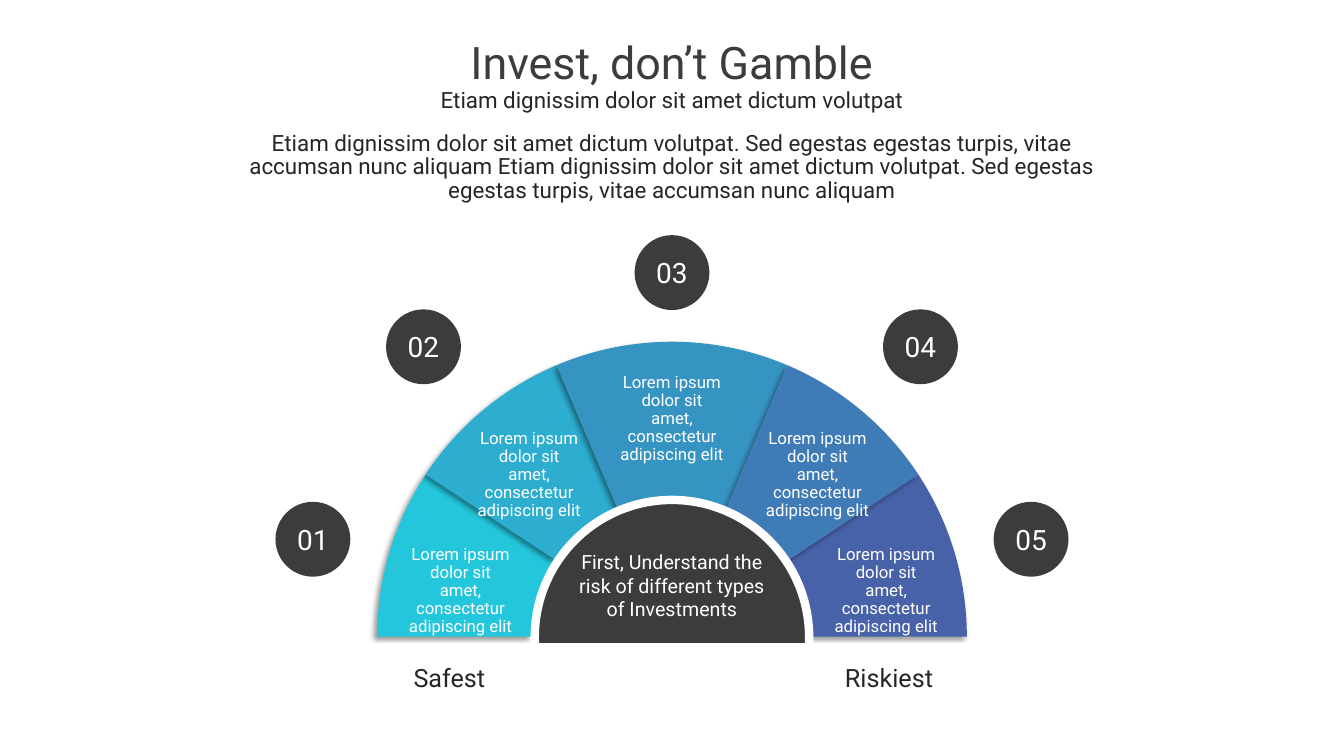
from lxml import etree
from pptx import Presentation
from pptx.dml.color import RGBColor
from pptx.enum.shapes import MSO_SHAPE
from pptx.enum.text import MSO_ANCHOR, MSO_AUTO_SIZE, PP_ALIGN
from pptx.oxml.ns import qn
from pptx.util import Pt

ARC, OVAL, RECT = MSO_SHAPE.BLOCK_ARC, MSO_SHAPE.OVAL, MSO_SHAPE.RECTANGLE
TOP, MIDDLE = MSO_ANCHOR.TOP, MSO_ANCHOR.MIDDLE
CENTER, FIXED = PP_ALIGN.CENTER, MSO_AUTO_SIZE.NONE

HUES = {
    "white": "FFFFFF", "dark": "3C3C3C", "ink": "262626", "black": "000000",
    "cyan": "24C6DC", "aqua": "2DADCF", "blue": "3694C2",
    "steel": "3F7BB6", "indigo": "4862A9",
}
INTRO = "Etiam dignissim dolor sit amet dictum volutpat"
BODY = (INTRO + ". Sed egestas egestas turpis, vitae accumsan nunc aliquam "
        + INTRO + ". Sed egestas egestas turpis, vitae accumsan nunc aliquam")
LOREM = "Lorem ipsum dolor sit amet, consectetur adipiscing elit"
GOAL = "First, Understand the risk of different types of Investments"

WEDGES = [
    ("cyan", 180, 213.34, -151, -68),
    ("aqua", 213.34, 246.97, -102, -151),
    ("blue", 246.97, 293.03, 0, -191),
    ("indigo", 326.66, 0, 153, -68),
    ("steel", 293.03, 326.66, 104, -151),
]
BADGES = [(-256.5, -69.5), (-177.5, -207), (0, -260), (177.5, -207), (256.5, -69.5)]


def color(name):
    return RGBColor.from_string(HUES[name])


def write(para, text, size, hue, spacing=1.0):
    looks = {"alignment": CENTER, "line_spacing": spacing, "space_before": Pt(0)}
    for key, value in looks.items():
        setattr(para, key, value)
    run = para.add_run()
    run.text = text
    for key, value in {"name": "Roboto", "size": Pt(size), "bold": False}.items():
        setattr(run.font, key, value)
    run.font.color.rgb = color(hue)


def frame(shape, anchor=TOP):
    looks = {"word_wrap": True, "auto_size": FIXED, "vertical_anchor": anchor}
    for key, value in looks.items():
        setattr(shape.text_frame, key, value)
    return shape.text_frame


def label(slide, box, text, size, hue, spacing=1.0):
    shape = slide.shapes.add_textbox(*map(Pt, box))
    write(frame(shape).paragraphs[0], text, size, hue, spacing)


def solid(slide, kind, box, hue):
    shape = slide.shapes.add_shape(kind, *map(Pt, box))
    shape.shadow.inherit = False
    shape.fill.solid()
    shape.fill.fore_color.rgb = color(hue)
    shape.line.fill.background()
    return shape


def shade(shape):
    effects = shape._element.spPr.find(qn("a:effectLst"))
    outer = etree.SubElement(effects, qn("a:outerShdw"), blurRad=str(Pt(4)),
                             dist=str(Pt(3)), dir="8100000", algn="tr", rotWithShape="0")
    tone = etree.SubElement(outer, qn("a:srgbClr"), val=HUES["black"])
    etree.SubElement(tone, qn("a:alpha"), val="40000")


def head(slide, box):
    title = slide.shapes.title
    for key, value in zip(("left", "top", "width", "height"), box):
        setattr(title, key, Pt(value))
    text = frame(title)
    write(text.paragraphs[0], "Invest, don’t Gamble", 32, "dark", 0.9)
    write(text.add_paragraph(), INTRO, 16, "ink", 0.9)


def fan(slide, box):
    left, top, size = box
    mid, base = left + size / 2, top + size / 2
    for hue, start, end, dx, dy in WEDGES:
        wedge = solid(slide, ARC, (left, top, size, size), hue)
        for i, value in enumerate((start * 0.6, end * 0.6, 0.262)):
            wedge.adjustments[i] = value
        shade(wedge)
        label(slide, (mid + dx - 44.65, base + dy, 89.3, 59), LOREM, 12, "white", 0.89)

    hub = solid(slide, OVAL, (mid - 98, base - 97.6, 196, 196), "dark")
    hub.line.color.rgb = color("white")
    hub.line.width = Pt(6)
    label(slide, (mid - 74.5, base - 65.2, 149, 56), GOAL, 14, "white")

    for number, (dx, dy) in enumerate(BADGES, 1):
        badge = solid(slide, OVAL, (mid + dx - 26.75, base + dy - 26.75, 53.5, 53.5), "dark")
        write(frame(badge, MIDDLE).paragraphs[0], f"{number:02}", 20, "white")

    floor = base + 4.7
    solid(slide, RECT, (mid - 233, floor, 466, 540 - floor), "white")
    for text, dx in (("Safest", -159), ("Riskiest", 155)):
        label(slide, (mid + dx - 42, base + 14.7, 84, 29), text, 18, "ink")


def main():
    deck = Presentation()
    deck.slide_width, deck.slide_height = Pt(960), Pt(540)
    slide = deck.slides.add_slide(deck.slide_layouts[5])
    head(slide, (133.2, 25.2, 693.4, 64))
    label(slide, (156.2, 90.7, 647.3, 72), BODY, 16, "ink", 0.89)
    fan(slide, (269.4, 244.1, 421.2))
    deck.save("out.pptx")


if __name__ == "__main__":
    main()
